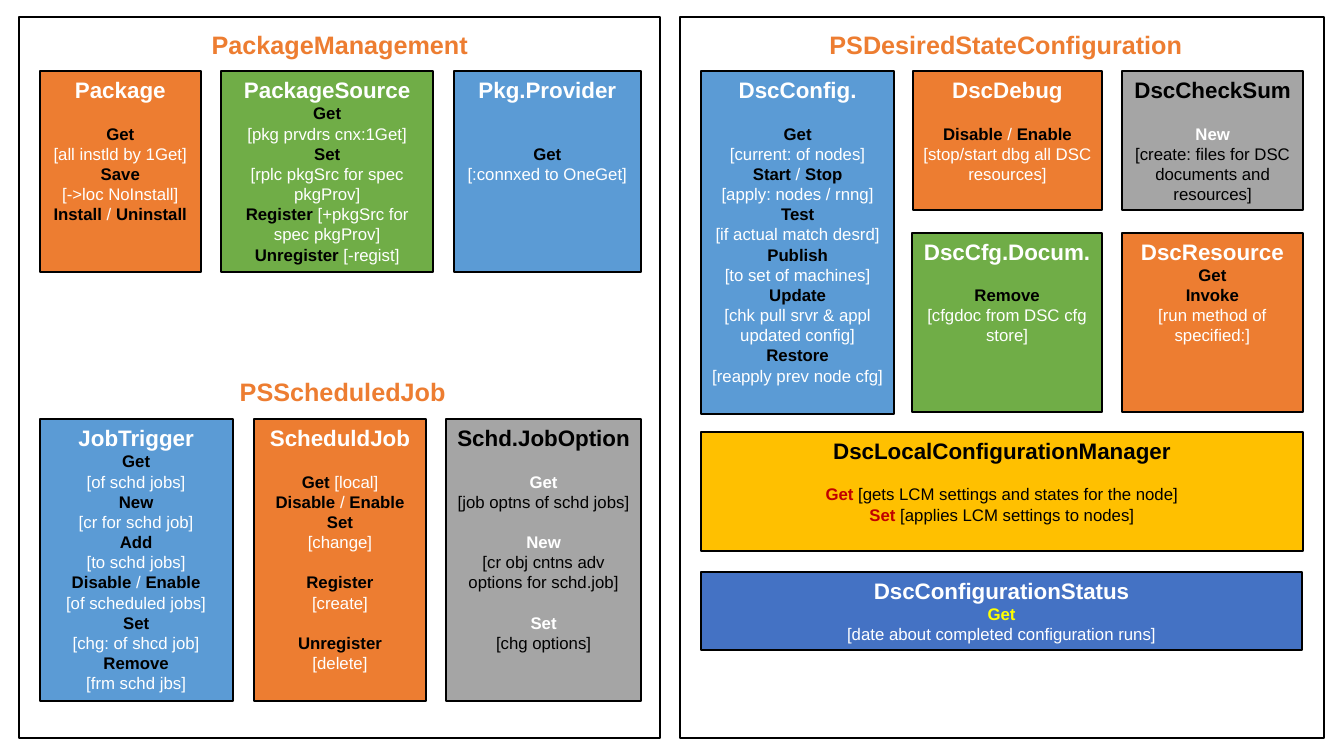
from pptx import Presentation
from pptx import util as u
from pptx.dml.color import RGBColor
from pptx.enum import shapes, text

BLACK = RGBColor(0x00, 0x00, 0x00)
WHITE = RGBColor(0xFF, 0xFF, 0xFF)
ORANGE = RGBColor(0xED, 0x7D, 0x31)
GREEN = RGBColor(0x70, 0xAD, 0x47)
BLUE = RGBColor(0x5B, 0x9B, 0xD5)
GRAY = RGBColor(0xA5, 0xA5, 0xA5)
GOLD = RGBColor(0xFF, 0xC0, 0x00)
ROYAL = RGBColor(0x44, 0x72, 0xC4)
RED = RGBColor(0xC0, 0x00, 0x00)
YELLOW = RGBColor(0xFF, 0xFF, 0x00)

FONT = "Arial"
BLANK_LINE = 14.4
TOP_ROW, JOB_ROW, MIDDLE_ROW = 51, 299.5, 166.3

# fill: (heading, command, detail)
TEXT_COLORS = {
    ORANGE: (WHITE, BLACK, WHITE),
    GREEN: (WHITE, BLACK, WHITE),
    BLUE: (WHITE, BLACK, WHITE),
    GRAY: (BLACK, WHITE, BLACK),
    GOLD: (BLACK, RED, BLACK),
    ROYAL: (WHITE, YELLOW, WHITE),
}

FRAMES = [(13.7, 458), (486, 460)]

MODULES = [
    ("PackageManagement", 13.7, 17.3, 458),
    ("PSDesiredStateConfiguration", 486, 17.3, 465),
    ("PSScheduledJob", 12.5, 265.5, 464.5),
]

CARDS = [
    (28.3, TOP_ROW, 115.3, 143.5, ORANGE, "Package", [
        "", "*Get*", "[all instld by 1Get]", "*Save*", "[->loc NoInstall]",
        "*Install* / *Uninstall*"]),
    (157.9, TOP_ROW, 151.7, 143.5, GREEN, "PackageSource", [
        "*Get*", "[pkg prvdrs cnx:1Get]", "*Set*",
        "[rplc pkgSrc for spec pkgProv]",
        "*Register* [+pkgSrc for spec pkgProv]", "*Unregister* [-regist]"]),
    (324.1, TOP_ROW, 133.8, 143, BLUE, "Pkg.Provider", [
        "", "", "*Get*", "[:connxed to OneGet]"]),
    (500.8, TOP_ROW, 138, 245, BLUE, "DscConfig.", [
        "", "*Get*", "[current: of nodes]", "*Start* / *Stop*",
        "[apply: nodes / rnng]", "*Test*", "[if actual match desrd]",
        "*Publish*", "[to set of machines]", "*Update*",
        "[chk pull srvr & appl updated config]", "*Restore*",
        "[reapply prev node cfg]"]),
    (651.9, TOP_ROW, 135.4, 99.2, ORANGE, "DscDebug", [
        "", "*Disable* / *Enable*", "[stop/start dbg all DSC resources]"]),
    (801.7, TOP_ROW, 129, 99.2, GRAY, "DscCheckSum", [
        "", "*New*", "[create: files for DSC documents and resources]"]),
    (651.4, MIDDLE_ROW, 136, 128.2, GREEN, "DscCfg.Docum.", [
        "", "*Remove*", "[cfgdoc from DSC cfg store]"]),
    (801.5, MIDDLE_ROW, 129, 128.2, ORANGE, "DscResource", [
        "*Get*", "*Invoke*", "[run method of specified:]"]),
    (500.8, 308.7, 429.9, 85, GOLD, "DscLocalConfigurationManager", [
        "", "*Get* [gets LCM settings and states for the node]",
        "*Set* [applies LCM settings to nodes]"]),
    (500.8, 408.5, 429.3, 55.6, ROYAL, "DscConfigurationStatus", [
        "*Get*", "[date about completed configuration runs]"]),
    (28.3, JOB_ROW, 138, 201, BLUE, "JobTrigger", [
        "*Get*", "[of schd jobs]", "*New*", "[cr for schd job]",
        "*Add*", "[to schd jobs]", "*Disable* / *Enable*",
        "[of scheduled jobs]", "*Set*", "[chg: of shcd job]",
        "*Remove*", "[frm schd jbs]"]),
    (181.3, JOB_ROW, 123.2, 201, ORANGE, "ScheduldJob", [
        "", "*Get* [local]", "*Disable* / *Enable*", "*Set*", "[change]",
        "", "*Register*", "[create]", "", "*Unregister*", "[delete]"]),
    (318.7, JOB_ROW, 139.2, 201, GRAY, "Schd.JobOption", [
        "", "*Get*", "[job optns of schd jobs]", "", "*New*",
        "[cr obj cntns adv options for schd.job]", "", "*Set*",
        "[chg options]"]),
]


def add_box(left, top, width, height):
    shape = slide.shapes.add_shape(
        shapes.MSO_SHAPE.RECTANGLE,
        u.Pt(left), u.Pt(top), u.Pt(width), u.Pt(height))
    shape.shadow.inherit = False
    shape.line.color.rgb = BLACK
    shape.line.width = u.Pt(1.5)
    return shape


def write_heading(shape, heading, size, color):
    frame = shape.text_frame
    frame.word_wrap = True
    frame.vertical_anchor = text.MSO_ANCHOR.TOP
    paragraph = frame.paragraphs[0]
    paragraph.text = heading
    paragraph.alignment = text.PP_ALIGN.CENTER
    paragraph.font.name = FONT
    paragraph.font.size = u.Pt(size)
    paragraph.font.bold = True
    paragraph.font.color.rgb = color


presentation = Presentation()
presentation.slide_width = u.Pt(960)
presentation.slide_height = u.Pt(540)
slide = presentation.slides.add_slide(presentation.slide_layouts[6])

for left, width in FRAMES:
    add_box(left, 12.2, width, 515).fill.background()

for name, left, top, width in MODULES:
    title = slide.shapes.add_textbox(
        u.Pt(left), u.Pt(top), u.Pt(width), u.Pt(29))
    write_heading(title, name, 18, ORANGE)

for left, top, width, height, fill, heading, lines in CARDS:
    card = add_box(left, top, width, height)
    card.fill.solid()
    card.fill.fore_color.rgb = fill
    heading_color, command_color, detail_color = TEXT_COLORS[fill]
    write_heading(card, heading, 16, heading_color)
    gap = 0
    for line in lines:
        if not line:
            gap += BLANK_LINE
            continue
        paragraph = card.text_frame.add_paragraph()
        paragraph.alignment = text.PP_ALIGN.CENTER
        paragraph.space_before = u.Pt(gap)
        paragraph.font.name = FONT
        paragraph.font.size = u.Pt(12)
        gap = 0
        for index, part in enumerate(line.split("*")):
            if part:
                run = paragraph.add_run()
                run.text = part
                is_command = index % 2 == 1
                run.font.bold = is_command
                run.font.color.rgb = command_color if is_command else detail_color

presentation.save("out.pptx")
